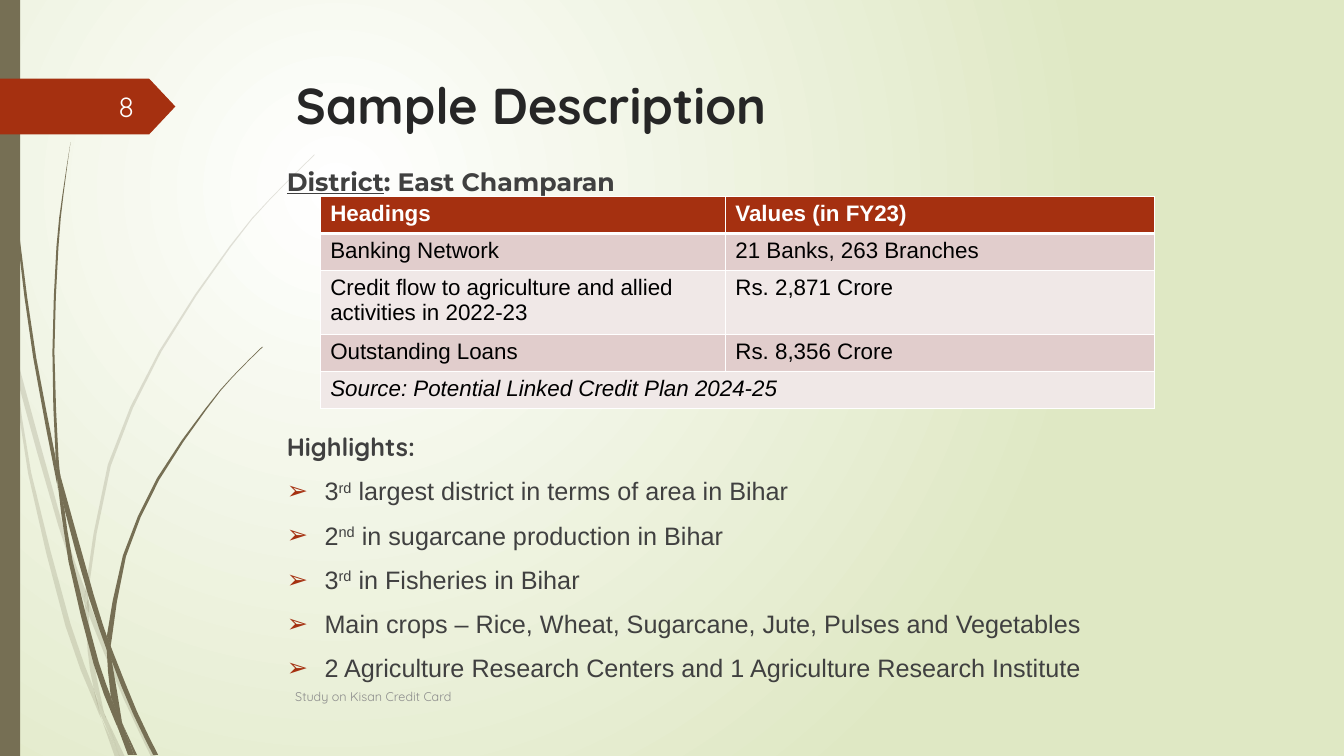
"""Build the Sample Description slide on East Champaran."""
import pptx
import pptx.util
import pptx.dml.color
import pptx.enum.shapes
import pptx.enum.text
import pptx.oxml.ns
from lxml import etree

Cm, Pt = pptx.util.Cm, pptx.util.Pt
qn = pptx.oxml.ns.qn
PRESET = pptx.enum.shapes.MSO_SHAPE
ANCHOR = pptx.enum.text.MSO_ANCHOR

COLORS = {
    "white": "FFFFFF", "sage": "DFE8C4", "olive": "766F54", "rust": "A53010",
    "title": "262626", "body": "404040", "footer": "8C8C8C", "number": "FEFFFF",
    "black": "000000", "dark band": "E1CDCC", "light band": "F0E8E7",
}
DISTRICT = [("District", "underline"), (": East Champaran", "")]
HIGHLIGHTS = [
    [("3", ""), ("rd", "raised"), (" largest district in terms of area in Bihar", "")],
    [("2", ""), ("nd", "raised"), (" in sugarcane production in Bihar", "")],
    [("3", ""), ("rd", "raised"), (" in Fisheries in Bihar", "")],
    [("Main crops – Rice, Wheat, Sugarcane, Jute, Pulses and Vegetables", "")],
    [("2 Agriculture Research Centers and 1 Agriculture Research Institute", "")],
]
ROWS = [
    ("Headings", "Values (in FY23)"),
    ("Banking Network", "21 Banks, 263 Branches"),
    ("Credit flow to agriculture and allied activities in 2022-23", "Rs. 2,871 Crore"),
    ("Outstanding Loans", "Rs. 8,356 Crore"),
    ("Source: Potential Linked Credit Plan 2024-25", ""),
]
COLUMN_WIDTHS = [10.21, 10.82]
ROW_HEIGHT = 0.48
PALE_BLADES = [
    ([(0, 299), (10, 344), (11, 350)], [(0, 282), (9, 322), (11, 350)]),
    ([(14, 345), (17, 376), (58, 522), (84, 599)], [(14, 345), (62, 520), (85, 586)]),
    ([(88, 596), (88, 610), (123, 694), (150, 751)], [(88, 596), (92, 607), (127, 692), (155, 751)]),
    ([(105, 711), (119, 751)], [(105, 711), (124, 751)]),
    ([(11, 350), (28, 470), (65, 621), (92, 693), (101, 714)],
     [(11, 350), (17, 376), (31, 469), (70, 619), (93, 683), (99, 707), (101, 714)]),
    ([(84, 599), (87, 646), (93, 683), (105, 711)], [(84, 599), (88, 610), (91, 646), (103, 706), (105, 711)]),
    ([(312, 153), (268, 197), (228, 244), (158, 348), (107, 461), (85, 584), (85, 586)],
     [(312, 154), (268, 198), (229, 245), (160, 349), (110, 462), (88, 584), (88, 596)]),
    ([(101, 714), (114, 751)], [(101, 714), (119, 751)]),
    ([(85, 586), (84, 599), (88, 608)], [(85, 586), (88, 596), (88, 610)]),
    ([(93, 683), (99, 707), (119, 751)], [(93, 683), (96, 692), (105, 711), (119, 751)]),
]
DARK_BLADES = [
    ([(3, 0), (7, 110), (17, 233), (33, 355), (56, 477), (57, 481)],
     [(4, 0), (8, 109), (19, 232), (36, 355), (55, 453), (57, 481)]),
    ([(60, 472), (64, 505), (88, 592), (106, 645)], [(60, 472), (93, 590), (106, 631)]),
    ([(110, 641), (111, 656), (132, 708), (152, 749)], [(110, 641), (113, 649), (136, 706), (157, 749)]),
    ([(57, 477), (68, 557), (93, 659), (111, 708), (117, 722)],
     [(57, 477), (64, 505), (72, 556), (98, 657), (110, 691), (117, 722)]),
    ([(70, 141), (62, 193), (56, 245), (52, 349), (55, 449), (60, 472)],
     [(70, 141), (63, 193), (58, 245), (54, 349), (58, 453), (60, 472)]),
    ([(122, 719), (133, 749)], [(122, 719), (136, 749)]),
    ([(55, 449), (57, 477), (64, 505)], [(55, 449), (60, 472), (64, 505)]),
    ([(260, 344), (231, 373), (204, 405), (156, 474), (122, 551), (106, 631)],
     [(261, 344), (231, 374), (205, 406), (158, 476), (125, 552), (111, 633), (110, 641)]),
    ([(117, 722), (127, 749)], [(117, 722), (131, 749)]),
    ([(106, 645), (110, 691), (122, 719)], [(106, 645), (111, 656), (121, 716), (122, 719)]),
    ([(106, 631), (106, 645), (111, 656)], [(106, 631), (110, 641), (111, 656)]),
    ([(110, 691), (117, 722), (130, 749)], [(110, 691), (116, 706), (122, 719), (133, 749)]),
]


def rgb(name):
    return pptx.dml.color.RGBColor.from_string(COLORS[name])


def paint(shape, color, opacity=100):
    shape.shadow.inherit = False
    shape.fill.solid()
    shape.fill.fore_color.rgb = rgb(color)
    shape.line.fill.background()
    if opacity < 100:
        tint = shape._element.spPr.find(".//" + qn("a:srgbClr"))
        etree.SubElement(tint, qn("a:alpha"), val=str(opacity * 1000))


def smooth(knots):
    ends = knots[:1] + knots + knots[-1:]
    curve = []
    for a, b, c, d in zip(ends, ends[1:], ends[2:], ends[3:]):
        curve += [b, tuple((9 * (q + r) - p - s) / 16 for p, q, r, s in zip(a, b, c, d))]
    return curve + knots[-1:]


def add_blade(page, left, right, opacity):
    outline = [(Cm(2.54) * x / 100, Cm(2.54) * y / 100) for x, y in smooth(left) + smooth(right)[::-1]]
    builder = page.shapes.build_freeform(*outline[0])
    builder.add_line_segments(outline[1:], close=True)
    paint(builder.convert_to_shape(), "olive", opacity)


def fill_para(para, spans, name, size, color, bold=False):
    for text, style in spans:
        span = para.add_run()
        span.text = text
        if style == "underline":
            span.font.underline = True
        elif style == "raised":
            span._r.get_or_add_rPr().set("baseline", "30000")
    para.font.name, para.font.size, para.font.bold = name, Pt(size), bold
    para.font.color.rgb = rgb(color)


def add_text(page, place, spans, *font, anchor=ANCHOR.TOP):
    frame = page.shapes.add_textbox(*map(Cm, place)).text_frame
    frame.word_wrap = True
    frame.vertical_anchor = anchor
    fill_para(frame.paragraphs[0], spans, *font)
    return frame


def add_bullet(para):
    para.space_before = Pt(10)
    props = para._p.get_or_add_pPr()
    props.set("marL", str(Cm(0.95)))
    props.set("indent", str(-Cm(0.95)))
    color = etree.SubElement(props, qn("a:buClr"))
    etree.SubElement(color, qn("a:srgbClr"), val=COLORS["rust"])
    etree.SubElement(props, qn("a:buFont"), typeface="Arial")
    etree.SubElement(props, qn("a:buChar"), char="➢")


def add_border(cell, side, width):
    line = etree.SubElement(cell._tc.get_or_add_tcPr(), qn("a:ln" + side), w=str(Pt(width)))
    fill = etree.SubElement(line, qn("a:solidFill"))
    etree.SubElement(fill, qn("a:srgbClr"), val=COLORS["white"])


def add_district_table(page):
    table = page.shapes.add_table(len(ROWS), len(COLUMN_WIDTHS), Cm(8.07), Cm(4.95),
                                  Cm(sum(COLUMN_WIDTHS)), Cm(ROW_HEIGHT * len(ROWS))).table
    for column, width in zip(table.columns, COLUMN_WIDTHS):
        column.width = Cm(width)
    last = len(ROWS) - 1
    for i, texts in enumerate(ROWS):
        band = "rust" if i == 0 else ("dark band" if i % 2 else "light band")
        for j, text in enumerate(texts):
            cell = table.cell(i, j)
            for side in "LRTB":
                add_border(cell, side, 3 if (i, side) in ((0, "B"), (1, "T")) else 1)
            cell.fill.solid()
            cell.fill.fore_color.rgb = rgb(band)
            para = cell.text_frame.paragraphs[0]
            fill_para(para, [(text, "")], "Arial", 16, "black" if i else "white", i == 0)
            para.font.italic = i == last
    table.cell(last, 0).merge(table.cell(last, 1))


def set_background(page):
    fill = page.background.fill
    fill.gradient()
    for stop, color in zip(fill.gradient_stops, ("white", "sage")):
        stop.color.rgb = rgb(color)
    gradient = page._element.find(".//" + qn("a:gradFill"))
    gradient.remove(gradient.find(qn("a:lin")))
    circle = etree.SubElement(gradient, qn("a:path"), {"path": "circle"})
    etree.SubElement(circle, qn("a:fillToRect"), l="50000", t="50000", r="100000", b="100000")


def main():
    deck = pptx.Presentation()
    deck.slide_width, deck.slide_height = Cm(33.87), Cm(19.05)
    page = deck.slides.add_slide(deck.slide_layouts[6])
    set_background(page)
    for blades, opacity in ((PALE_BLADES, 20), (DARK_BLADES, 100)):
        for left, right in blades:
            add_blade(page, left, right, opacity)
    paint(page.shapes.add_shape(PRESET.RECTANGLE, 0, 0, Cm(0.51), deck.slide_height), "olive")
    tag = page.shapes.add_shape(PRESET.PENTAGON, 0, Cm(1.98), Cm(4.42), Cm(1.41))
    tag.adjustments[0] = 0.47
    paint(tag, "rust")
    add_text(page, (7.21, 1.75, 24.77, 3.56), [("Sample Description", "")], "Quicksand", 36, "title", True)
    add_text(page, (6.98, 4.06, 24.99, 0.9), DISTRICT, "Montserrat", 18, "body", True)
    body = add_text(page, (6.98, 10.75, 24.99, 6.3), [("Highlights:", "")], "Quicksand", 18, "body", True)
    for spans in HIGHLIGHTS:
        para = body.add_paragraph()
        add_bullet(para)
        fill_para(para, spans, "Arial", 18, "body")
    add_text(page, (7.19, 17.04, 21.16, 1.02), [("Study on Kisan Credit Card", "")],
             "Quicksand", 9, "footer", anchor=ANCHOR.MIDDLE)
    number = add_text(page, (1.47, 2.18, 2.16, 1.02), [("8", "")],
                      "Quicksand", 20, "number", anchor=ANCHOR.MIDDLE)
    number.paragraphs[0].alignment = pptx.enum.text.PP_ALIGN.RIGHT
    add_district_table(page)
    deck.save("out.pptx")


if __name__ == "__main__":
    main()
